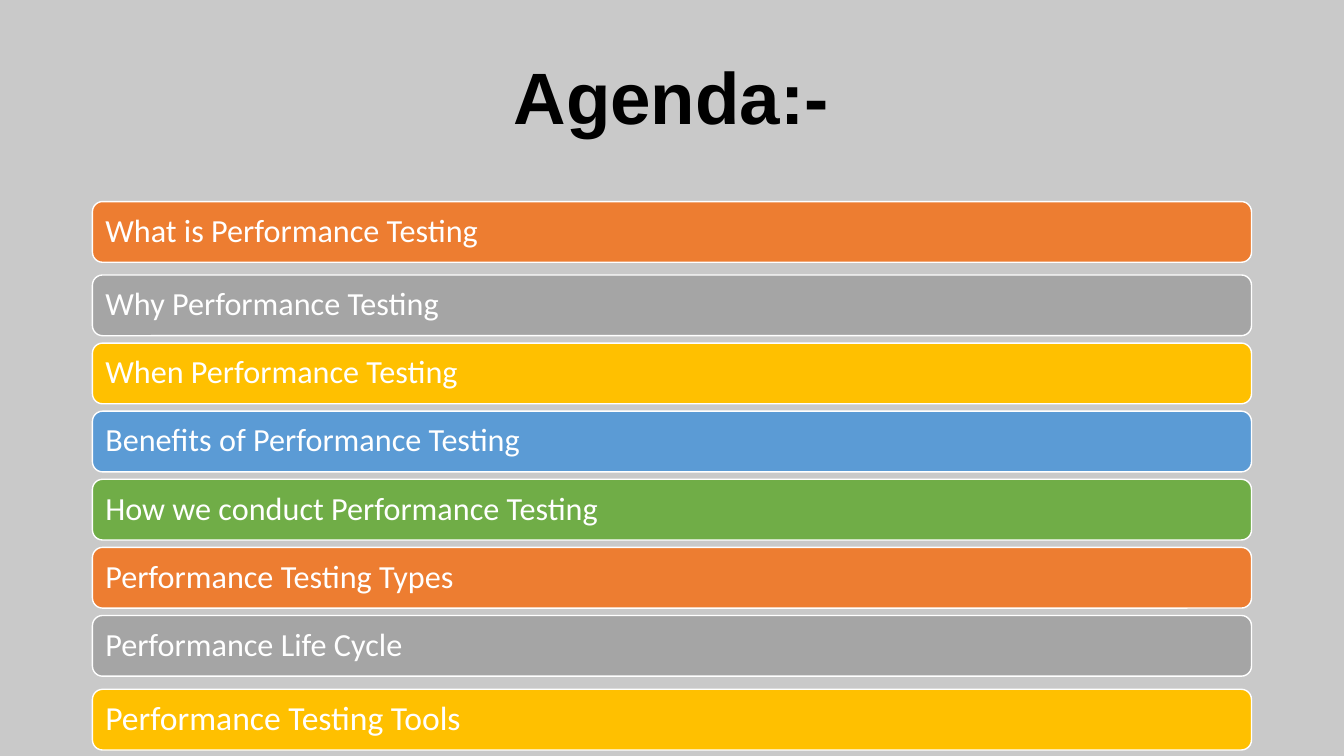
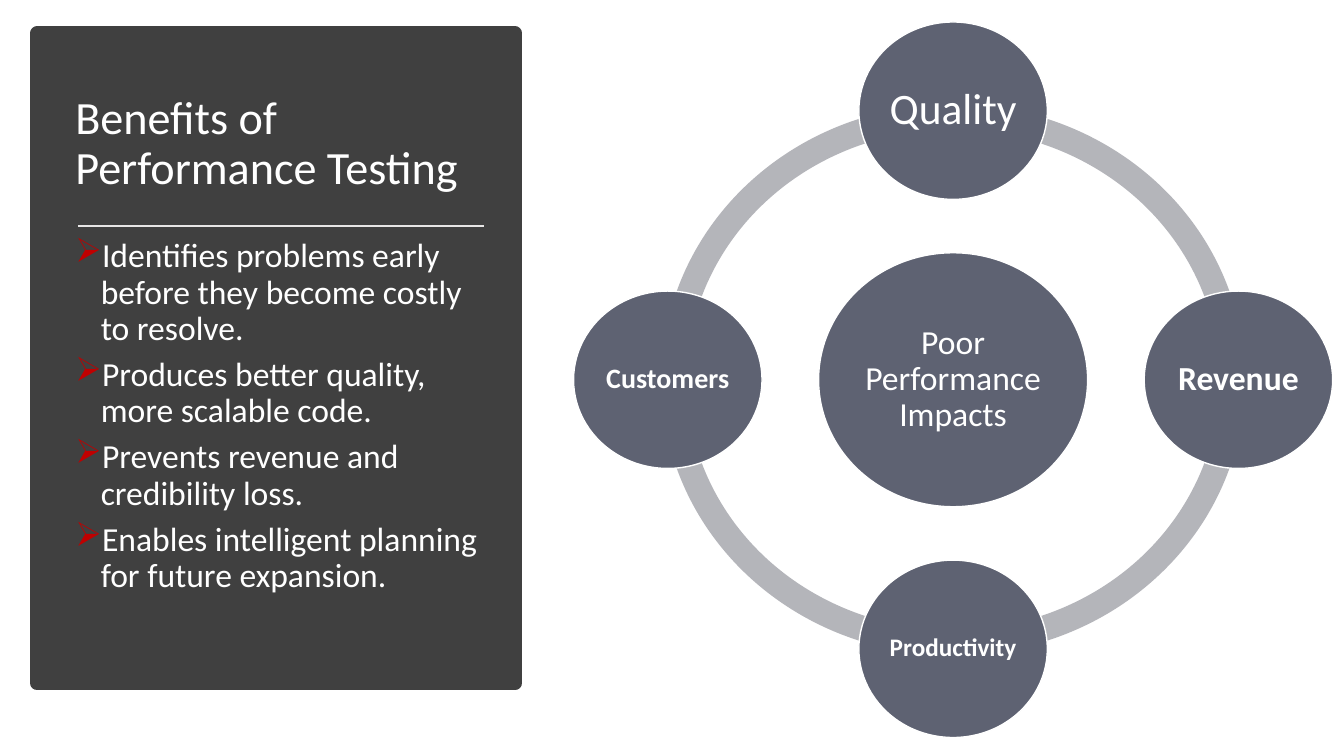
"""Build the agenda and benefits slides of a performance testing talk."""
from math import cos, radians, sin

from lxml import etree
from pptx import Presentation
from pptx.dml.color import RGBColor
from pptx.enum.shapes import MSO_CONNECTOR, MSO_SHAPE
from pptx.enum.text import MSO_ANCHOR, PP_ALIGN
from pptx.oxml.ns import qn
from pptx.util import Cm, Pt

LEFT, CENTER = PP_ALIGN.LEFT, PP_ALIGN.CENTER
TOP, MIDDLE = MSO_ANCHOR.TOP, MSO_ANCHOR.MIDDLE
RECTANGLE, ROUNDED = MSO_SHAPE.RECTANGLE, MSO_SHAPE.ROUNDED_RECTANGLE
OVAL, BLOCK_ARC = MSO_SHAPE.OVAL, MSO_SHAPE.BLOCK_ARC
STRAIGHT = MSO_CONNECTOR.STRAIGHT

COLORS = {
    "white": "FFFFFF", "black": "000000", "backdrop": "C9C9C9",
    "orange": "ED7D31", "gray": "A5A5A5", "gold": "FFC000",
    "blue": "5B9BD5", "green": "70AD47", "panel": "404040",
    "rule": "E7E6E6", "bullet": "C00000", "slate": "5E6272", "ring": "B4B5BA",
}
BAR_COLORS = ["orange", "gray", "gold", "blue", "green"]
AGENDA = [
    "What is Performance Testing", "Why Performance Testing",
    "When Performance Testing", "Benefits of Performance Testing",
    "How we conduct Performance Testing", "Performance Testing Types",
    "Performance Life Cycle", "Performance Testing Tools",
]
BENEFITS = [
    "Identifies problems early before they become costly to resolve.",
    "Produces better quality, more scalable code.",
    "Prevents revenue and credibility loss.",
    "Enables intelligent planning for future expansion.",
]
IMPACTS = [("Quality", 31, False), ("Revenue", 24, True),
           ("Productivity", 18, True), ("Customers", 20, True)]
CENTER_X, CENTER_Y = 24.02, 9.57
ORBIT_X, ORBIT_Y = 7.19, 6.78
QUARTER = 54


def rgb(name):
    return RGBColor.from_string(COLORS[name])


def add_page(deck, color):
    page = deck.slides.add_slide(deck.slide_layouts[6])
    page.background.fill.solid()
    page.background.fill.fore_color.rgb = rgb(color)
    return page


def write(box, lines, size, color="white", font="Calibri", bold=False,
          align=LEFT, anchor=MIDDLE, inset=(0.25, 0.13)):
    frame = box.text_frame
    frame.word_wrap = True
    frame.vertical_anchor = anchor
    frame.margin_left = frame.margin_right = Cm(inset[0])
    frame.margin_top = frame.margin_bottom = Cm(inset[1])
    frame.text = "\n".join(lines)
    for para in frame.paragraphs:
        para.alignment = align
        para.line_spacing = 0.9
        for span in para.runs:
            span.font.name = font
            span.font.size = Pt(size)
            span.font.bold = bold
            span.font.color.rgb = rgb(color)


def add_text(page, place, lines, size, **style):
    box = page.shapes.add_textbox(*map(Cm, place))
    write(box, lines, size, **style)
    return box


def add_shape(page, kind, place, fill, line=None, width=1):
    shape = page.shapes.add_shape(kind, *map(Cm, place))
    shape.shadow.inherit = False
    shape.fill.solid()
    shape.fill.fore_color.rgb = rgb(fill)
    if line:
        shape.line.color.rgb = rgb(line)
        shape.line.width = Pt(width)
    else:
        shape.line.fill.background()
    return shape


def add_rule(page, left, right, top):
    rule = page.shapes.add_connector(STRAIGHT, Cm(left), Cm(top), Cm(right), Cm(top))
    rule.line.color.rgb = rgb("rule")
    rule.line.width = Pt(1.75)
    etree.SubElement(rule._element.spPr, qn("a:effectLst"))


def add_bullets(box):
    for index, para in enumerate(box.text_frame.paragraphs):
        para.space_before = Pt(7 if index else 0)
        props = para._p.get_or_add_pPr()
        props.set("marL", str(Cm(0.64)))
        props.set("indent", str(Cm(-0.64)))
        tint = etree.SubElement(props, qn("a:buClr"))
        etree.SubElement(tint, qn("a:srgbClr"), val=COLORS["bullet"])
        etree.SubElement(props, qn("a:buChar"), char="➢")


def add_disc(page, x, y, width, height, label, size, bold=False):
    place = (x - width / 2, y - height / 2, width, height)
    disc = add_shape(page, OVAL, place, "slate", "white")
    write(disc, [label], size, bold=bold, align=CENTER, inset=(0.03, 0.03))
    disc.text_frame.paragraphs[0].space_after = Pt(6)


def add_ring(page, width, height):
    place = (CENTER_X - width / 2, CENTER_Y - height / 2, width, height)
    for quarter in range(4):
        arc = add_shape(page, BLOCK_ARC, place, "ring")
        arc.adjustments[0] = quarter * QUARTER
        arc.adjustments[1] = (quarter + 1) % 4 * QUARTER
        arc.adjustments[2] = 0.046


def build_agenda(deck):
    page = add_page(deck, "backdrop")
    add_text(page, (2.31, 0.97, 29.21, 3.15), ["Agenda:-"], 52, color="black",
             font="Arial", bold=True, align=CENTER)
    last = len(AGENDA) - 1
    tops = [5.08] + [6.93 + 1.716 * step for step in range(last - 1)] + [17.37]
    for index, (label, top) in enumerate(zip(AGENDA, tops)):
        color = BAR_COLORS[index % len(BAR_COLORS)]
        bar = add_shape(page, ROUNDED, (2.33, top, 29.21, 1.53), color, "white")
        write(bar, [label], 24 if index == last else 23)


def build_benefits(deck):
    page = add_page(deck, "white")
    add_shape(page, RECTANGLE, (0.94, 0.84, 12.04, 16.38), "panel", "panel", 10)
    add_text(page, (1.65, 1.78, 10.62, 3.73), ["Benefits of Performance Testing"], 33)
    add_rule(page, 1.96, 12.19, 5.69)
    body = add_text(page, (1.65, 5.89, 10.85, 11.33), BENEFITS, 24, anchor=TOP)
    add_bullets(body)
    add_ring(page, 14.71, 13.89)
    add_disc(page, CENTER_X, CENTER_Y, 6.78, 6.4, "Poor Performance Impacts", 24)
    for index, (label, size, bold) in enumerate(IMPACTS):
        angle = radians(90 * index - 90)
        add_disc(page, CENTER_X + ORBIT_X * cos(angle), CENTER_Y + ORBIT_Y * sin(angle),
                 4.75, 4.47, label, size, bold)


def main():
    deck = Presentation()
    deck.slide_width, deck.slide_height = Cm(33.87), Cm(19.05)
    build_agenda(deck)
    build_benefits(deck)
    deck.save("out.pptx")


if __name__ == "__main__":
    main()
